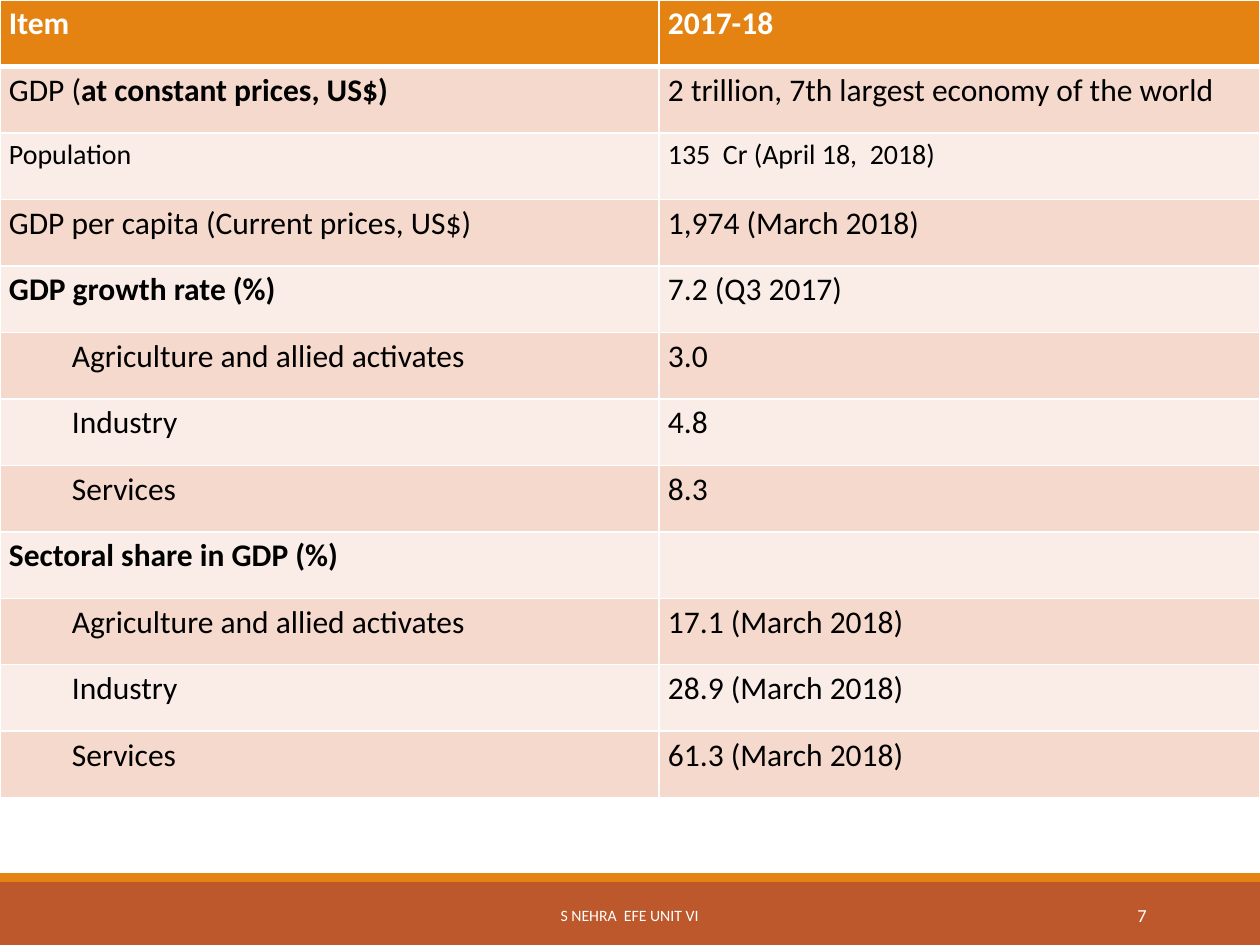
import pptx
import pptx.dml.color
import pptx.enum.shapes
import pptx.enum.text
import pptx.oxml
import pptx.oxml.ns
import pptx.util

ALIGN = pptx.enum.text.PP_ALIGN
FONT = "Calibri"
WHITE, BLACK = "FFFFFF", "000000"
ORANGE, RUST = "E48312", "BD582C"
BANDS = ["F5D9CC", "FAEDE7"]
COLUMNS = [659, 601]
TABLE_HEIGHT = 798
INDENT = 63

SECTORS = ["Agriculture and allied activates", "Industry", "Services"]
# Each row: label, value, and options for style
ROWS = [
    ("Item", "2017-18", {}),
    ("GDP (", "2 trillion, 7th largest economy of the world",
     {"bold_tail": "at constant prices, US$)"}),
    ("Population", "135  Cr (April 18,  2018)", {"size": 16}),
    ("GDP per capita (Current prices, US$)", "1,974 (March 2018)", {}),
    ("GDP growth rate (%)", "7.2 (Q3 2017)", {"bold": True}),
    *[(name, value, {"level": 1})
      for name, value in zip(SECTORS, ["3.0", "4.8", "8.3"])],
    ("Sectoral share in GDP (%)", "", {"bold": True}),
    *[(name, f"{value} (March 2018)", {"level": 1})
      for name, value in zip(SECTORS, ["17.1", "28.9", "61.3"])],
]


def px(n):
    return pptx.util.Emu(round(n * 914400 / 126))


def rgb(value):
    return pptx.dml.color.RGBColor.from_string(value)


def style_run(r, size, color, bold=False):
    r.font.name = FONT
    r.font.size = pptx.util.Pt(size)
    r.font.bold = bold
    r.font.color.rgb = rgb(color)


def add_bar(s, top, height, color):
    sp = s.shapes.add_shape(pptx.enum.shapes.MSO_SHAPE.RECTANGLE,
                            px(0), px(top), px(1260), px(height))
    sp.shadow.inherit = False
    sp.fill.solid()
    sp.fill.fore_color.rgb = rgb(color)
    sp.line.fill.background()


def add_footer_text(s, left, width, text, size, align):
    sp = s.shapes.add_textbox(px(left), px(890), px(width), px(50))
    tf = sp.text_frame
    tf.word_wrap = True
    tf.vertical_anchor = pptx.enum.text.MSO_ANCHOR.MIDDLE
    p = tf.paragraphs[0]
    p.text = text
    p.alignment = align
    style_run(p.runs[0], size, WHITE)


def set_borders(cell, top, bottom):
    """White rules on all sides; widths in points."""
    tc_pr = cell._tc.get_or_add_tcPr()
    widths = [("lnL", 1), ("lnR", 1), ("lnT", top), ("lnB", bottom)]
    for i, (side, width) in enumerate(widths):
        tc_pr.insert(i, pptx.oxml.parse_xml(
            f'<a:{side} {pptx.oxml.ns.nsdecls("a")} w="{width * 12700}">'
            f'<a:solidFill><a:srgbClr val="{WHITE}"/></a:solidFill></a:{side}>'))


def fill_cell(cell, text, fill, color, size=18, bold=False, bold_tail="", level=0):
    cell.margin_left = cell.margin_right = px(9)
    cell.margin_top = cell.margin_bottom = px(5)
    cell.fill.solid()
    cell.fill.fore_color.rgb = rgb(fill)
    p = cell.text_frame.paragraphs[0]
    if level:
        p.level = level
        p._p.get_or_add_pPr().set("marL", str(px(INDENT)))
    for part, is_bold in [(text, bold), (bold_tail, True)]:
        if part:
            r = p.add_run()
            r.text = part
            style_run(r, size, color, is_bold)


def add_indicator_table(s):
    table = s.shapes.add_table(len(ROWS), len(COLUMNS), px(0), px(0),
                               px(sum(COLUMNS)), px(TABLE_HEIGHT)).table
    for column, width in zip(table.columns, COLUMNS):
        column.width = px(width)
    for i, (label, value, options) in enumerate(ROWS):
        header = i == 0
        fill = ORANGE if header else BANDS[(i - 1) % 2]
        color = WHITE if header else BLACK
        if header:
            options = {"bold": True}
        value_options = {"size": options.get("size", 18), "bold": header}
        fill_cell(table.cell(i, 0), label, fill, color, **options)
        fill_cell(table.cell(i, 1), value, fill, color, **value_options)
        for cell in table.rows[i].cells:
            set_borders(cell, top=3 if i == 1 else 1, bottom=3 if header else 1)


def main():
    prs = pptx.Presentation()
    prs.slide_width, prs.slide_height = px(1260), px(945)
    s = prs.slides.add_slide(prs.slide_layouts[6])

    # Footer band
    add_bar(s, 882, 63, RUST)
    add_bar(s, 873, 9, ORANGE)
    add_footer_text(s, 380, 499, "S NEHRA  EFE UNIT VI", 9, ALIGN.CENTER)
    add_footer_text(s, 1023, 136, "7", 10.5, ALIGN.RIGHT)

    # Economic indicators
    add_indicator_table(s)
    prs.save("out.pptx")


if __name__ == "__main__":
    main()
